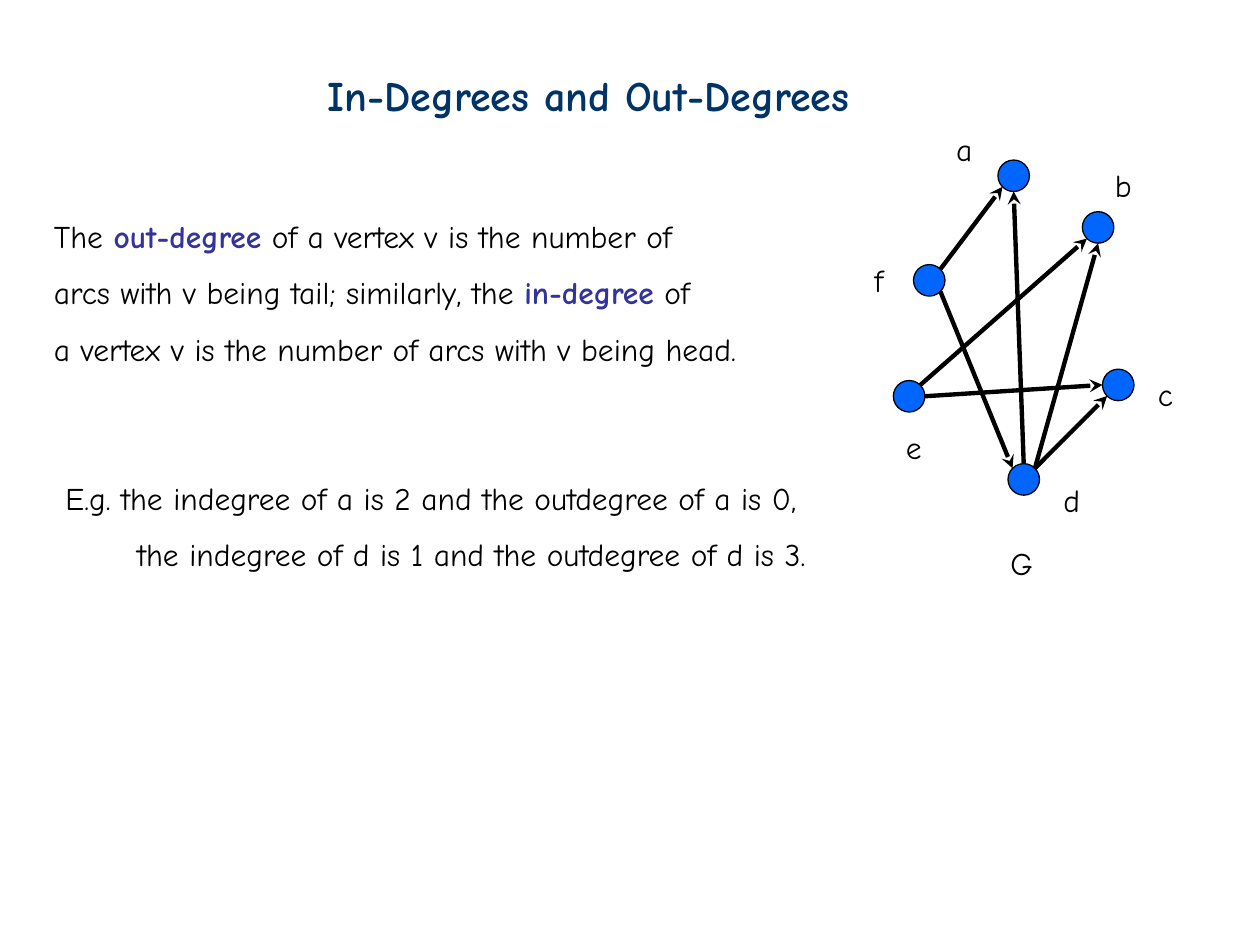
from dataclasses import dataclass
from math import cos, radians, sin

from lxml.etree import SubElement
from pptx import Presentation
from pptx.dml.color import RGBColor
from pptx.enum.shapes import MSO_CONNECTOR, MSO_SHAPE
from pptx.enum.text import MSO_ANCHOR, MSO_AUTO_SIZE, PP_ALIGN
from pptx.oxml.ns import qn
from pptx.util import Inches, Pt


@dataclass(frozen=True)
class Theme:
    font: str = "Comic Neue"
    title_size: float = 24
    text_size: float = 18
    title: str = "003366"
    text: str = "000000"
    term: str = "333399"
    vertex: str = "0066FF"
    outline: float = 0.75
    arc: float = 2.5


COLUMNS, ROWS = 40, 30
TITLE_ONLY = 5
ANGLES = {"right": 0, "top right": 45, "top": 90, "left": 180,
          "bottom left": 225, "bottom": 270, "bottom right": 315,
          "top left": 135}

VERTICES = {
    "a": (31.68, 5.08), "b": (34.36, 6.72), "c": (35, 11.72),
    "d": (32, 14.72), "e": (28.36, 12.08), "f": (29, 8.4),
}
LABELS = {
    "a": (29.96, 3.92), "b": (35, 5.08), "c": (36.36, 11.72),
    "d": (33.36, 15.08), "e": (28.36, 13.4), "f": (27.36, 8.08),
    "G": (31.68, 17.08),
}
ARCS = [
    ("e", "top right", "b", "bottom left"),
    ("e", "right", "c", "left"),
    ("f", "top right", "a", "bottom left"),
    ("d", "top right", "b", "bottom"),
    ("d", "top right", "c", "bottom left"),
    ("d", "top", "a", "bottom"),
    ("f", "bottom right", "d", "top left"),
]
DEFINITION = [
    [("The ", False), ("out-degree", True),
     (" of a vertex v is the number of", False)],
    [("arcs with v being tail; similarly, the ", False),
     ("in-degree", True), (" of", False)],
    [("a vertex v is the number of arcs with v being head.", False)],
]
EXAMPLE = [
    [("E.g. the indegree of a is 2 and the outdegree of a is 0,", False)],
    [("the indegree of d is 1 and the outdegree of d is 3.", False)],
]


def apply(target, values):
    for name, value in values.items():
        setattr(target, name, value)


class SlideBuilder:
    def __init__(self, deck, theme):
        self.theme = theme
        self.cell_width = deck.slide_width / COLUMNS
        self.cell_height = deck.slide_height / ROWS
        self.slide = deck.slides.add_slide(deck.slide_layouts[TITLE_ONLY])

    def point(self, column, row):
        return round(column * self.cell_width), round(row * self.cell_height)

    def area(self, column, row, columns, rows):
        return self.point(column, row) + self.point(columns, rows)

    def style_font(self, font, size, color, bold=False):
        apply(font, {"name": self.theme.font, "size": Pt(size), "bold": bold})
        font.color.rgb = RGBColor.from_string(color)

    def title(self, wording, area):
        heading = self.slide.shapes.title
        apply(heading, dict(zip(("left", "top", "width", "height"),
                                self.area(*area))))
        frame = heading.text_frame
        apply(frame, {"text": wording, "word_wrap": True,
                      "auto_size": MSO_AUTO_SIZE.NONE,
                      "vertical_anchor": MSO_ANCHOR.TOP})
        paragraph = frame.paragraphs[0]
        paragraph.alignment = PP_ALIGN.LEFT
        self.style_font(paragraph.runs[0].font, self.theme.title_size,
                        self.theme.title, True)

    def text(self, lines, area, indent=0):
        frame = self.slide.shapes.add_textbox(*self.area(*area)).text_frame
        apply(frame, {"word_wrap": False,
                      "auto_size": MSO_AUTO_SIZE.SHAPE_TO_FIT_TEXT})
        for index, line in enumerate(lines):
            paragraph = frame.add_paragraph() if index else frame.paragraphs[0]
            if index:
                paragraph.line_spacing = 1.5
                if indent:
                    margin = self.point(indent, 0)[0]
                    paragraph._p.get_or_add_pPr().set("marL", str(margin))
            for wording, is_term in line:
                run = paragraph.add_run()
                run.text = wording
                color = self.theme.term if is_term else self.theme.text
                self.style_font(run.font, self.theme.text_size, color, is_term)

    def vertex(self, column, row):
        dot = self.slide.shapes.add_shape(MSO_SHAPE.OVAL,
                                          *self.area(column, row, 1, 1))
        dot.shadow.inherit = False
        dot.fill.solid()
        dot.fill.fore_color.rgb = RGBColor.from_string(self.theme.vertex)
        dot.line.color.rgb = RGBColor.from_string(self.theme.text)
        dot.line.width = Pt(self.theme.outline)

    def rim(self, vertex, side):
        column, row = VERTICES[vertex]
        angle = radians(ANGLES[side])
        return self.point(column + 0.5 + 0.5 * cos(angle),
                          row + 0.5 - 0.5 * sin(angle))

    def arc(self, tail, tail_side, head, head_side):
        arrow = self.slide.shapes.add_connector(
            MSO_CONNECTOR.STRAIGHT, *self.rim(tail, tail_side),
            *self.rim(head, head_side))
        arrow.line.color.rgb = RGBColor.from_string(self.theme.text)
        arrow.line.width = Pt(self.theme.arc)
        SubElement(arrow.line._get_or_add_ln(), qn("a:tailEnd"),
                   type="stealth")
        SubElement(arrow._element.spPr, qn("a:effectLst"))


def main():
    deck = Presentation()
    apply(deck, {"slide_width": Inches(10), "slide_height": Inches(7.5)})
    builder = SlideBuilder(deck, Theme())
    builder.title("In-Degrees and Out-Degrees", (10, 2, 20, 2))
    for place in VERTICES.values():
        builder.vertex(*place)
    for arc in ARCS:
        builder.arc(*arc)
    for letter, place in LABELS.items():
        builder.text([[(letter, False)]], (*place, 1.4, 1.6))
    builder.text(DEFINITION, (1.32, 6.68, 24.48, 5.2))
    builder.text(EXAMPLE, (1.68, 15, 26.2, 3.4), indent=2.28)
    deck.save("out.pptx")


if __name__ == "__main__":
    main()
